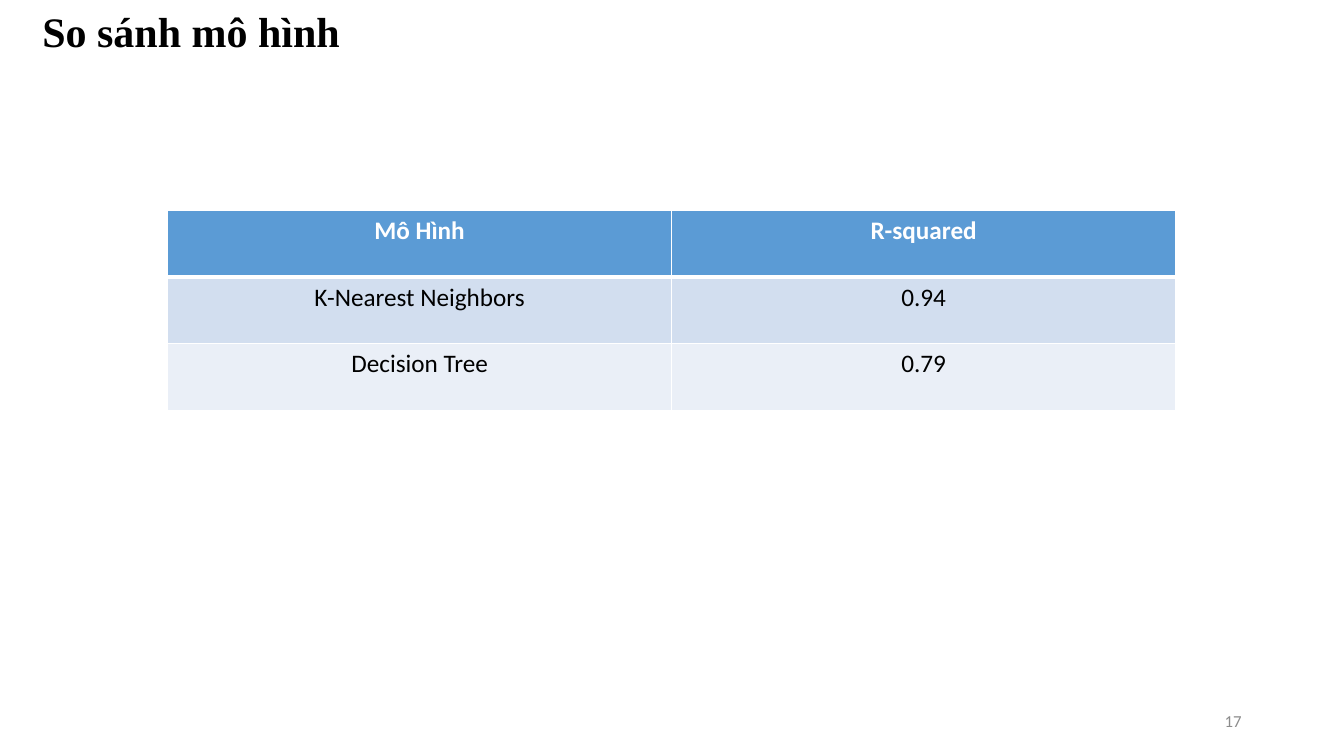
from lxml import etree
from pptx import Presentation
from pptx.dml.color import RGBColor
from pptx.enum import text
from pptx.oxml import ns
from pptx.util import Pt

COLORS = {
    "black": "000000",
    "white": "FFFFFF",
    "page_number": "8C8C8C",
    "header": "5B9BD5",
    "band_dark": "D2DEEF",
    "band_light": "EAEFF7",
}
MODELS = [
    ("Mô Hình", "R-squared"),
    ("K-Nearest Neighbors", "0.94"),
    ("Decision Tree", "0.79"),
]
ROW_FILLS = ["header", "band_dark", "band_light"]
COLUMN_WIDTH, ROW_HEIGHT = 360, 47.5


def set_all(target, **values):
    for name, value in values.items():
        setattr(target, name, value)


def write(frame, words, color, align, **font):
    para = frame.paragraphs[0]
    para.alignment = align
    span = para.add_run()
    span.text = words
    set_all(span.font, **font)
    span.font.color.rgb = RGBColor.from_string(COLORS[color])


def place(box, left, top, width, height):
    set_all(box, left=Pt(left), top=Pt(top), width=Pt(width), height=Pt(height))


def add_title(page, words):
    box = page.shapes.title
    place(box, 23, 0, 229, 80)
    set_all(box.text_frame, word_wrap=False, auto_size=text.MSO_AUTO_SIZE.NONE,
            vertical_anchor=text.MSO_ANCHOR.TOP)
    write(box.text_frame, words, "black", text.PP_ALIGN.LEFT,
          name="Times New Roman", size=Pt(30), bold=True)


def add_page_number(page, number):
    box = page.shapes.add_textbox(Pt(678), Pt(500.5), Pt(216), Pt(28.75))
    set_all(box.text_frame, word_wrap=True, vertical_anchor=text.MSO_ANCHOR.MIDDLE)
    write(box.text_frame, number, "page_number", text.PP_ALIGN.RIGHT,
          name="Calibri", size=Pt(12))


def add_border(cell, side, points):
    line = etree.SubElement(cell._tc.get_or_add_tcPr(), ns.qn("a:ln" + side),
                            w=str(Pt(points)))
    fill = etree.SubElement(line, ns.qn("a:solidFill"))
    etree.SubElement(fill, ns.qn("a:srgbClr"), val=COLORS["white"])


def add_model_table(page):
    rows, columns = len(MODELS), len(MODELS[0])
    table = page.shapes.add_table(rows, columns, Pt(119.75), Pt(150.5),
                                  Pt(columns * COLUMN_WIDTH),
                                  Pt(rows * ROW_HEIGHT)).table
    for column in table.columns:
        column.width = Pt(COLUMN_WIDTH)
    for r, values in enumerate(MODELS):
        table.rows[r].height = Pt(ROW_HEIGHT)
        # The line under the header is thicker than the others
        borders = {"L": 1, "R": 1, "T": 3 if r == 1 else 1, "B": 3 if r == 0 else 1}
        for c, value in enumerate(values):
            cell = table.cell(r, c)
            for side, points in borders.items():
                add_border(cell, side, points)
            cell.fill.solid()
            cell.fill.fore_color.rgb = RGBColor.from_string(COLORS[ROW_FILLS[r]])
            write(cell.text_frame, value, "white" if r == 0 else "black",
                  text.PP_ALIGN.CENTER, name="Calibri", size=Pt(18), bold=r == 0)


def main():
    deck = Presentation()
    set_all(deck, slide_width=Pt(960), slide_height=Pt(540))
    page = deck.slides.add_slide(deck.slide_layouts[5])

    # Heading and page number
    add_title(page, "So sánh mô hình")
    add_page_number(page, "17")

    # Model scores
    add_model_table(page)

    deck.save("out.pptx")


main()
